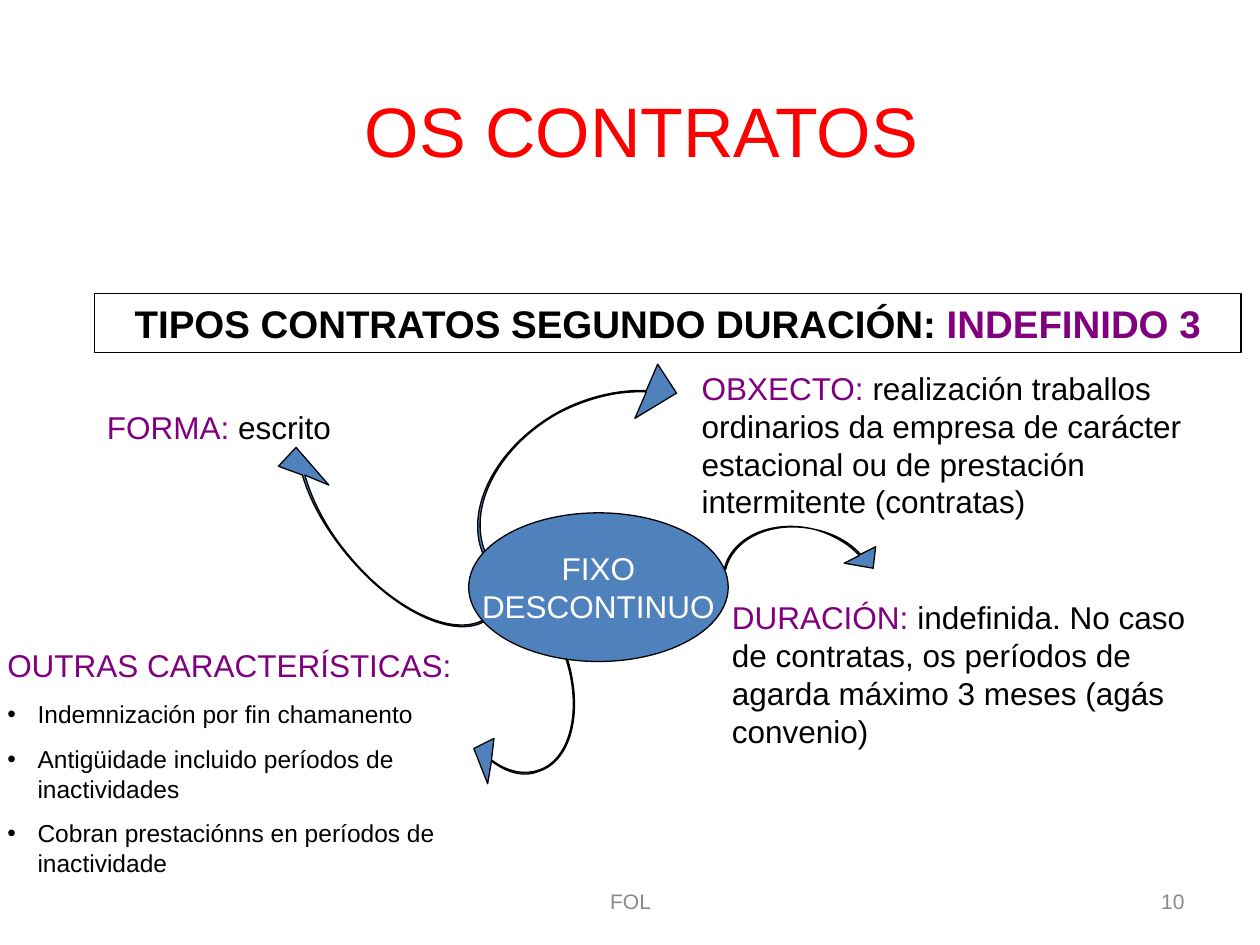
from dataclasses import dataclass
from math import cos, radians, sin

from lxml.etree import SubElement
from pptx import Presentation
from pptx.dml.color import RGBColor as Rgb
from pptx.enum.shapes import MSO_SHAPE as Shape
from pptx.enum.text import MSO_ANCHOR as Anchor, PP_ALIGN as Align
from pptx.oxml.ns import qn
from pptx.util import Inches, Pt

Point = tuple[float, float]
Box = tuple[float, float, float, float]


@dataclass(frozen=True)
class Theme:
    font: str = "Arial"
    black: str = "000000"
    white: str = "FFFFFF"
    red: str = "FF0000"
    purple: str = "800080"
    blue: str = "4F81BD"
    gray: str = "898989"
    title: int = 40
    banner: int = 22
    body: int = 18
    item: int = 14
    foot: int = 12
    line: float = 0.75


T = Theme()


@dataclass(frozen=True)
class Para:
    runs: tuple[tuple[str, str], ...]  # text, colour
    size: int = T.body
    align: Align = Align.LEFT
    bold: bool = False
    bullet: bool = False
    before: float = 0


@dataclass(frozen=True)
class Label:
    box: Box
    paras: tuple[Para, ...]
    anchor: Anchor = Anchor.TOP


@dataclass(frozen=True)
class Arrow:
    """A thin curved band with a head; points are as seen on the slide."""
    box: Box
    turn: int
    inner: tuple[Point, ...]  # two joined cubic curves, from head to tail
    outer: tuple[Point, ...]  # the same, from tail to head
    head: tuple[Point, Point, Point]


def note(key: str, rest: str) -> Para:
    return Para(((key, T.purple), (rest, T.black)))


def item(text: str) -> Para:
    return Para(((text, T.black),), T.item, bullet=True, before=8.8)


def center(text: str, color: str, size: int) -> Para:
    return Para(((text, color),), size, Align.CENTER)


LABELS = (
    Label((0.83, 0.23, 8.52, 1.6),
          (center("OS CONTRATOS", T.red, T.title),), Anchor.MIDDLE),
    Label((0.75, 3.19, 3.31, 0.4), (note("FORMA: ", "escrito"),)),
    Label((5.47, 2.88, 4.37, 1.3),
          (note("OBXECTO: ", "realización traballos ordinarios da empresa de "
                "carácter estacional ou de prestación intermitente (contratas)"),)),
    Label((5.71, 4.7, 3.82, 1.3),
          (note("DURACIÓN: ", "indefinida. No caso de contratas, os períodos "
                "de agarda máximo 3 meses (agás convenio)"),)),
    Label((-0.04, 5.08, 4.1, 1.94), (
        Para((("OUTRAS CARACTERÍSTICAS:", T.purple),)),
        item("Indemnización por fin chamanento"),
        item("Antigüidade incluido períodos de inactividades"),
        item("Cobran prestaciónns en períodos de inactividade"))),
    Label((3.42, 6.95, 3.17, 0.4),
          (center("FOL", T.gray, T.foot),), Anchor.MIDDLE),
    Label((7.17, 6.95, 2.33, 0.4),
          (Para((("10", T.gray),), T.foot, Align.RIGHT),), Anchor.MIDDLE),
)

BANNER = Label((0.75, 2.33, 9.1, 0.47), (
    Para((("TIPOS CONTRATOS SEGUNDO DURACIÓN: ", T.black),
          ("INDEFINIDO 3", T.purple)), T.banner, Align.CENTER, bold=True),),
    Anchor.MIDDLE)

HUB = Label((3.72, 4.07, 2.06, 1.18),
            tuple(center(word, T.white, T.body) for word in ("FIXO", "DESCONTINUO")),
            Anchor.MIDDLE)

ARROWS = (
    Arrow((2.09, 3.51, 2.19, 1.1), 230,
          ((2.42, 3.77), (2.48, 3.98), (2.6, 4.21), (2.77, 4.41),
           (3.15, 4.87), (3.65, 5.08), (3.88, 4.89)),
          ((3.89, 4.9), (3.66, 5.1), (3.15, 4.88), (2.76, 4.41),
           (2.59, 4.21), (2.46, 3.98), (2.4, 3.77)),
          ((2.21, 3.7), (2.35, 3.55), (2.61, 3.85))),
    Arrow((5.74, 4.19, 1.23, 0.94), 13,
          ((6.82, 4.41), (6.73, 4.31), (6.6, 4.24), (6.46, 4.2),
           (6.13, 4.13), (5.82, 4.27), (5.76, 4.52)),
          ((5.75, 4.51), (5.81, 4.26), (6.13, 4.12), (6.46, 4.2),
           (6.61, 4.23), (6.74, 4.3), (6.83, 4.4)),
          ((6.95, 4.34), (6.93, 4.51), (6.7, 4.47))),
    Arrow((3.73, 3.18, 2.13, 1.52), 331,
          ((5.13, 3.11), (4.9, 3.1), (4.66, 3.16), (4.43, 3.28),
           (3.93, 3.56), (3.68, 4.08), (3.88, 4.44)),
          ((3.86, 4.45), (3.66, 4.09), (3.91, 3.56), (4.43, 3.27),
           (4.65, 3.15), (4.91, 3.09), (5.13, 3.1)),
          ((5.22, 2.89), (5.37, 3.12), (5.04, 3.32))),
    Arrow((3.49, 4.5, 1.02, 1.67), 160,
          ((3.9, 6.03), (4.03, 6.13), (4.17, 6.15), (4.28, 6.11),
           (4.54, 6.02), (4.63, 5.59), (4.47, 5.17)),
          ((4.48, 5.16), (4.64, 5.6), (4.55, 6.03), (4.28, 6.12),
           (4.17, 6.17), (4.03, 6.14), (3.9, 6.04)),
          ((3.87, 6.22), (3.76, 5.94), (3.92, 5.86))),
)


def write(frame, label: Label, wrap: bool) -> None:
    frame.word_wrap = wrap
    frame.vertical_anchor = label.anchor
    for i, para in enumerate(label.paras):
        p = frame.add_paragraph() if i else frame.paragraphs[0]
        p.alignment = para.align
        p.space_before = Pt(para.before)
        if para.bullet:
            props = p._p.get_or_add_pPr()
            props.set("marL", str(Inches(0.24)))
            props.set("indent", str(Inches(-0.24)))
            SubElement(props, qn("a:buFont")).set("typeface", T.font)
            SubElement(props, qn("a:buChar")).set("char", "•")
        for text, color in para.runs:
            run = p.add_run()
            run.text = text
            run.font.name = T.font
            run.font.size = Pt(para.size)
            run.font.bold = para.bold
            run.font.color.rgb = Rgb.from_string(color)


def paint(shape, fill: str | None) -> None:
    shape.shadow.inherit = False
    if fill:
        shape.fill.solid()
        shape.fill.fore_color.rgb = Rgb.from_string(fill)
    else:
        shape.fill.background()
    shape.line.color.rgb = Rgb.from_string(T.black)
    shape.line.width = Pt(T.line)


def add_text(slide, label: Label) -> None:
    box = slide.shapes.add_textbox(*map(Inches, label.box))
    write(box.text_frame, label, True)


def add_form(slide, kind: Shape, label: Label, fill: str | None) -> None:
    form = slide.shapes.add_shape(kind, *map(Inches, label.box))
    paint(form, fill)
    write(form.text_frame, label, False)


def unturn(point: Point, box: Box, turn: int) -> tuple[int, int]:
    """Map a point on the slide into the box as it lies before its turn."""
    left, top, wide, high = box
    dx, dy = point[0] - left - wide / 2, point[1] - top - high / 2
    c, s = cos(radians(turn)), sin(radians(turn))
    return Inches(wide / 2 + dx * c + dy * s), Inches(high / 2 - dx * s + dy * c)


def add_arrow(slide, arrow: Arrow) -> None:
    a, b = arrow.inner, arrow.outer
    steps = (("moveTo", a[:1]), ("cubicBezTo", a[1:4]), ("cubicBezTo", a[4:]),
             ("lnTo", b[:1]), ("cubicBezTo", b[1:4]), ("cubicBezTo", b[4:]),
             *(("lnTo", (spot,)) for spot in (*arrow.head, a[0])), ("close", ()))
    pen = slide.shapes.build_freeform()
    pen.add_line_segments([(Inches(x), Inches(y)) for x, y in arrow.head])
    shape = pen.convert_to_shape()
    shape.left, shape.top, shape.width, shape.height = map(Inches, arrow.box)
    shape.rotation = arrow.turn
    paint(shape, T.blue)
    # The pen draws straight lines only, so the curves are set here.
    route = shape._element.find(".//" + qn("a:path"))
    route.clear()
    route.set("w", str(shape.width))
    route.set("h", str(shape.height))
    for tag, spots in steps:
        step = SubElement(route, qn("a:" + tag))
        for spot in spots:
            x, y = unturn(spot, arrow.box, arrow.turn)
            pt = SubElement(step, qn("a:pt"))
            pt.set("x", str(x))
            pt.set("y", str(y))


def main() -> None:
    deck = Presentation()
    deck.slide_width, deck.slide_height = Inches(10), Inches(7.5)
    slide = deck.slides.add_slide(deck.slide_layouts[6])
    add_form(slide, Shape.RECTANGLE, BANNER, None)
    for arrow in ARROWS:
        add_arrow(slide, arrow)
    for label in LABELS:
        add_text(slide, label)
    add_form(slide, Shape.OVAL, HUB, T.blue)
    deck.save("out.pptx")


if __name__ == "__main__":
    main()
